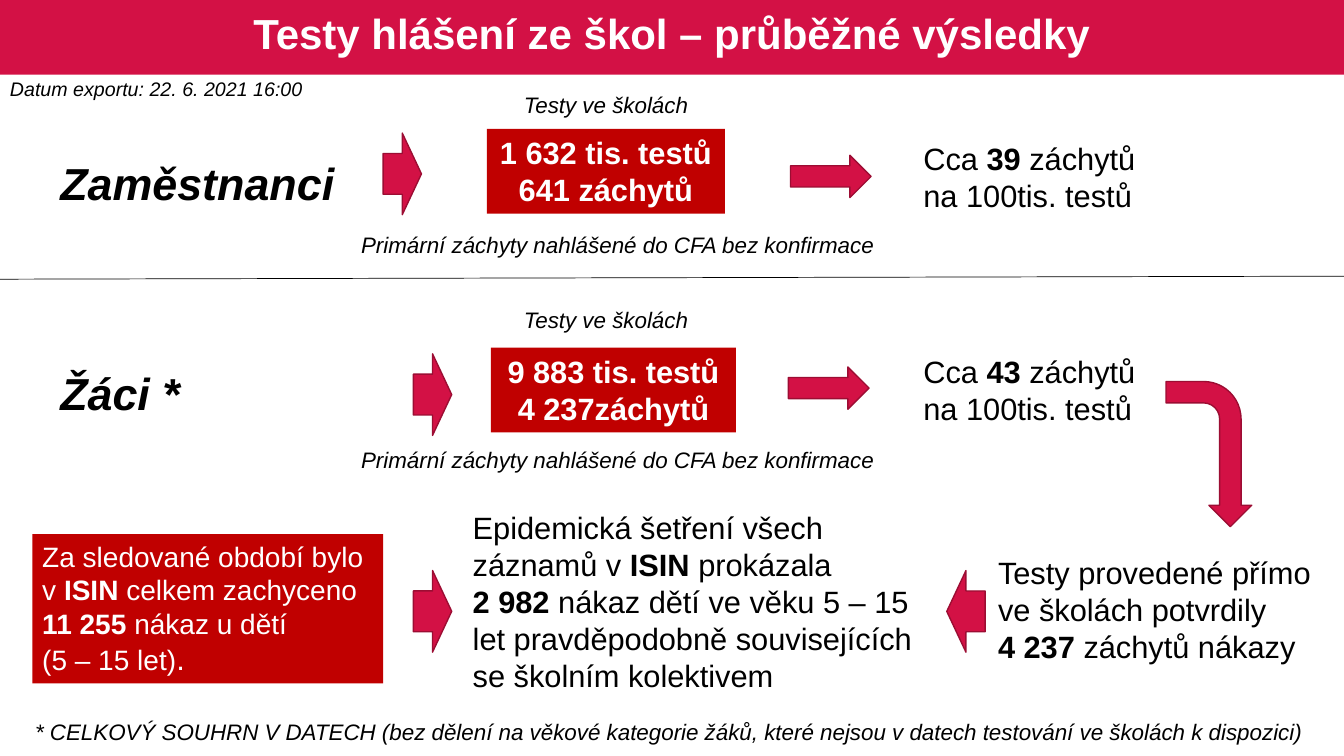
from dataclasses import dataclass

from lxml import etree
from pptx import Presentation
from pptx.dml.color import RGBColor
from pptx.enum.shapes import MSO_CONNECTOR as Connector, MSO_SHAPE as Shape
from pptx.enum.text import MSO_ANCHOR as Anchor, MSO_AUTO_SIZE as AutoSize, PP_ALIGN as Align
from pptx.oxml.ns import qn
from pptx.util import Emu, Pt

PX = 9144


@dataclass(frozen=True)
class Theme:
    """Colours, font and type sizes of the slide."""
    font: str = "Arial"
    brand: str = "D31145"
    edge: str = "9C0D33"
    alert: str = "C00000"
    ink: str = "000000"
    paper: str = "FFFFFF"
    title: int = 30
    group: int = 32
    body: int = 22
    summary: int = 20
    note: int = 16
    stamp: int = 14


def px(*lengths):
    """Turn whole px into EMU."""
    return [Emu(length * PX) for length in lengths]


def write(frame, text, *, size, color, font, bold=False, italic=False, align=Align.LEFT):
    """Fill a frame: newline starts a paragraph, | breaks a line, ** toggles bold."""
    for number, content in enumerate(text.split("\n")):
        para = frame.paragraphs[0] if number == 0 else frame.add_paragraph()
        para.alignment = align
        for row, line in enumerate(content.split("|")):
            if row:
                para.add_line_break()
            for part, words in enumerate(line.split("**")):
                if words:
                    span = para.add_run()
                    span.text = words
                    span.font.name = font
                    span.font.size = Pt(size)
                    span.font.bold = bold or part % 2 == 1
                    span.font.italic = italic
                    span.font.color.rgb = RGBColor.from_string(color)


class Board:
    """Holds the theme and the current slide."""

    def __init__(self, page, theme):
        """Keep the page and its theme."""
        self.page, self.theme = page, theme

    def shape(self, kind, at, fill, edge=None):
        """Add a flat preset shape."""
        shape = self.page.shapes.add_shape(kind, *px(*at))
        shape.shadow.inherit = False
        shape.fill.solid()
        shape.fill.fore_color.rgb = RGBColor.from_string(fill)
        if edge:
            shape.line.color.rgb = RGBColor.from_string(edge)
            shape.line.width = Pt(1)
        else:
            shape.line.fill.background()
        return shape

    def title(self, text, at, band):
        """Place the title over its coloured band."""
        title = self.page.shapes.title
        title.element.addprevious(self.shape(Shape.RECTANGLE, band, self.theme.brand).element)
        title.left, title.top, title.width, title.height = px(*at)
        frame = title.text_frame
        frame.auto_size = AutoSize.NONE
        frame.vertical_anchor = Anchor.MIDDLE
        write(frame, text, size=self.theme.title, color=self.theme.paper,
              font=self.theme.font, bold=True, align=Align.CENTER)
        frame.paragraphs[0].line_spacing = 0.9

    def label(self, text, at, size, wrap=True, **style):
        """Add an italic text box."""
        frame = self.page.shapes.add_textbox(*px(*at)).text_frame
        frame.word_wrap = wrap
        frame.auto_size = AutoSize.SHAPE_TO_FIT_TEXT
        write(frame, text, size=size, color=self.theme.ink,
              font=self.theme.font, italic=True, **style)

    def panel(self, text, at, fill, color, size, **style):
        """Add a filled rectangle with text."""
        frame = self.shape(Shape.RECTANGLE, at, fill).text_frame
        frame.word_wrap = True
        frame.auto_size = AutoSize.SHAPE_TO_FIT_TEXT
        frame.vertical_anchor = Anchor.TOP
        write(frame, text, size=size, color=color, font=self.theme.font, **style)
        return frame

    def arrow(self, at, kind=Shape.RIGHT_ARROW, turn=0):
        """Add a block arrow."""
        self.shape(kind, at, self.theme.brand, self.theme.edge).rotation = turn

    def divider(self, start, end):
        """Add a thin line."""
        line = self.page.shapes.add_connector(Connector.STRAIGHT, *px(*start, *end))
        line.line.color.rgb = RGBColor.from_string(self.theme.ink)
        line.line.width = Pt(0.5)
        etree.SubElement(line.element.spPr, qn("a:effectLst"))


def main():
    """Build and save the slide."""
    deck = Presentation()
    deck.slide_width, deck.slide_height = px(1333, 750)
    theme = Theme()
    board = Board(deck.slides.add_slide(deck.slide_layouts[5]), theme)

    board.title("Testy hlášení ze škol – průběžné výsledky",
                at=(18, 4, 1297, 63), band=(0, 0, 1333, 74))
    board.label("Datum exportu: 22. 6. 2021 16:00", (0, 71, 312, 34), theme.stamp, wrap=False)

    groups = [
        ("Zaměstnanci", (50, 150), "1 632 tis. testů\n641 záchytů", (483, 128, 236, 84),
         "39", (906, 134), (380, 132), (784, 154), 86, 224),
        ("Žáci *", (50, 358), "9 883 tis. testů\n4 237záchytů", (487, 345, 243, 84),
         "43", (906, 345), (410, 351), (782, 364), 299, 438),
    ]
    for name, name_at, tests, tests_at, rate, rate_at, short_at, long_at, above, below in groups:
        board.label(name, (*name_at, 303, 64), theme.group, bold=True)
        board.panel(tests, tests_at, theme.alert, theme.paper, theme.body,
                    bold=True, align=Align.CENTER)
        board.panel(f"Cca **{rate}** záchytů na 100tis. testů", (*rate_at, 271, 84),
                    theme.paper, theme.ink, theme.body)
        board.arrow((*short_at, 38, 81))
        board.arrow((*long_at, 80, 42))
        board.label("Testy ve školách", (399, above, 404, 37), theme.note, align=Align.CENTER)
        board.label("Primární záchyty nahlášené do CFA bez konfirmace",
                    (182, below, 861, 37), theme.note, align=Align.CENTER)
    board.divider((0, 277), (1333, 274))

    summary = board.panel(
        "Za sledované období bylo v **ISIN** celkem zachyceno|**11 255 **nákaz u dětí\n"
        "(5 – 15 let)****.",
        (32, 530, 348, 148), theme.alert, theme.paper, theme.summary)
    summary.paragraphs[-1].runs[-1].font.size = Pt(theme.body)
    board.panel("Epidemická šetření všech záznamů v **ISIN** prokázala\n"
                "**2 982 **nákaz dětí ve věku 5 – 15 let pravděpodobně souvisejících "
                "se školním kolektivem",
                (459, 500, 474, 195), theme.paper, theme.ink, theme.body)
    board.panel("Testy provedené přímo ve školách potvrdily\n**4 237 **záchytů nákazy",
                (980, 544, 351, 121), theme.paper, theme.ink, theme.body)
    board.arrow((410, 566, 38, 81))
    board.arrow((939, 566, 38, 81), turn=180)
    board.arrow((1127, 408, 144, 85), kind=Shape.BENT_ARROW, turn=90)
    board.label("* CELKOVÝ SOUHRN V DATECH (bez dělení na věkové kategorie žáků, "
                "které nejsou v datech testování ve školách k dispozici)",
                (25, 708, 1323, 37), theme.note)

    deck.save("out.pptx")


if __name__ == "__main__":
    main()
